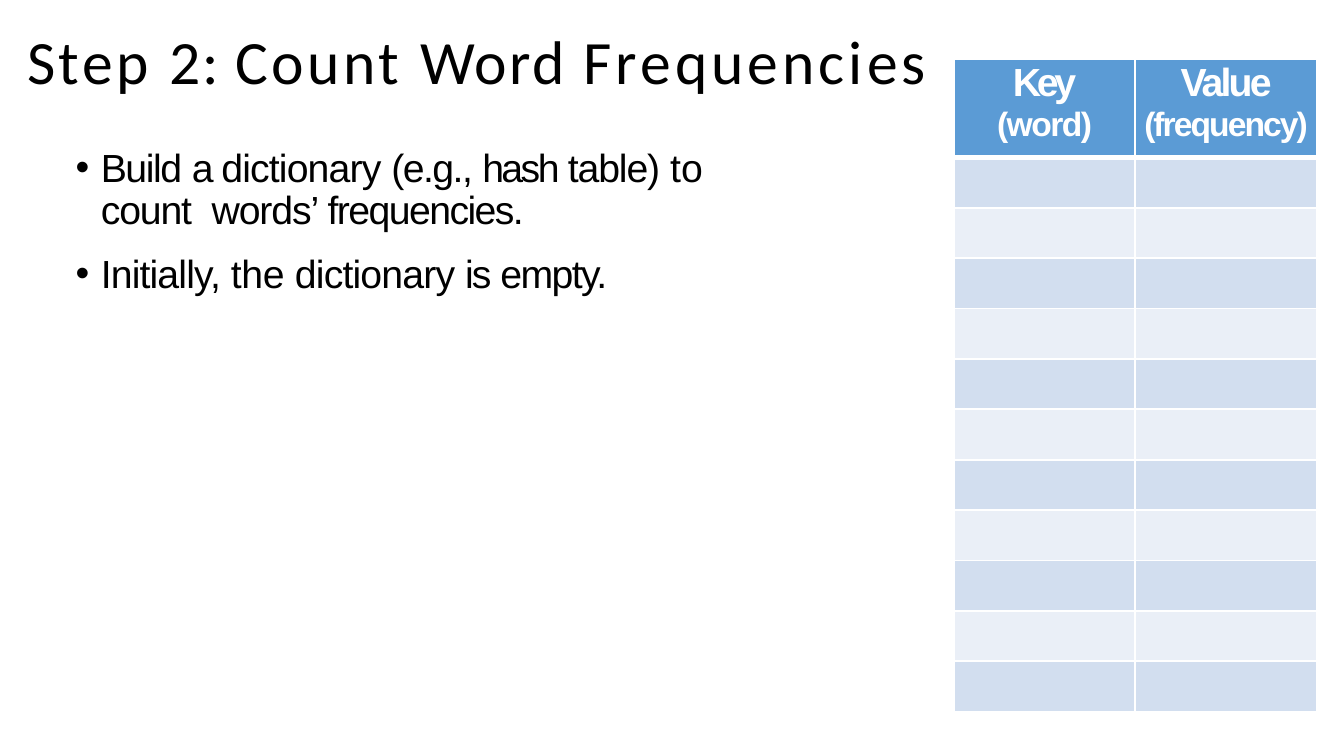
"""Build the slide on counting word frequencies with an empty dictionary table."""
from lxml import etree
from pptx import Presentation, util as u
from pptx.dml.color import RGBColor
from pptx.enum import text
from pptx.oxml import ns

COLORS = {"ink": "000000", "white": "FFFFFF", "header": "5B9BD5",
          "odd": "D2DEEF", "even": "EAEFF7"}

TITLE = [("Step ", 2.4), ("2: ", 1), ("Count ", 2.5), ("Word ", 1.6), ("Frequencies", 2.9)]
BULLETS = [
    ([("Build ", -1), ("a ", -2.2), ("dictionary ", -0.6), ("(e.g., ", -1.1),
      ("hash ", -1.8), ("table) ", -0.8), ("to ", 0.2), ("count", -0.8), (" ", 6.2),
      ("words’ ", -0.8), ("frequencies.", -1.1)],
     {"line_spacing": u.Pt(30)}),
    ([("Initially, ", -0.6), ("the ", -0.3), ("dictionary ", -0.6), ("is ", -1.4),
      ("empty.", -1.1)],
     {"space_before": u.Pt(12)}),
]
HEADERS = [[("Key", -3.1), ("(word)", -1.1)], [("Value", -2), ("(frequency)", -1.4)]]
EMPTY_ROWS = 11

TITLE_FONT = {"name": "Calibri", "size": u.Pt(44)}
BODY_FONT = {"name": "Arial", "size": u.Pt(28)}
HEADER_FONTS = [{"name": "Arial", "size": u.Pt(size), "bold": True} for size in (28, 24)]
HEADER_SPACING = [{}, {"space_before": u.Pt(0.4)}]


def apply(target, values):
    for name, value in values.items():
        setattr(target, name, value)


def add_xml(parent, tag, **attributes):
    return etree.SubElement(parent, ns.qn(tag), attributes)


def write_runs(paragraph, pieces, font, color):
    for words, tracking in pieces:
        run = paragraph.add_run()
        run.text = words
        apply(run.font, font)
        run.font.color.rgb = RGBColor.from_string(COLORS[color])
        run.font._element.set("spc", str(round(tracking * 100)))


def add_box(slide, place, top_inset, anchor):
    frame = slide.shapes.add_textbox(*map(u.Inches, place)).text_frame
    apply(frame, {"word_wrap": True, "vertical_anchor": anchor, "margin_left": 0,
                  "margin_right": 0, "margin_bottom": 0, "margin_top": u.Inches(top_inset)})
    return frame


def add_bullet(paragraph):
    hang = u.Inches(0.26)
    properties = paragraph._p.get_or_add_pPr()
    properties.set("marL", str(hang))
    properties.set("indent", str(-u.Inches(0.25)))
    add_xml(properties, "a:buFont", typeface="Arial")
    add_xml(properties, "a:buChar", char="•")
    add_xml(add_xml(properties, "a:tabLst"), "a:tab", pos=str(hang), algn="l")


def style_cell(cell, row, color):
    widths = {"L": 1.5, "R": 1.5, "T": 4.25 if row == 1 else 1.5,
              "B": 4.25 if row == 0 else 1.5}
    properties = cell._tc.get_or_add_tcPr()
    for side, width in widths.items():
        border = add_xml(properties, "a:ln" + side, w=str(u.Pt(width)))
        add_xml(add_xml(border, "a:solidFill"), "a:srgbClr", val=COLORS["white"])
    cell.fill.solid()
    cell.fill.fore_color.rgb = RGBColor.from_string(COLORS[color])


def add_dictionary(slide):
    place = map(u.Inches, (9.46, 0.59, 3.6, 6.47))
    table = slide.shapes.add_table(EMPTY_ROWS + 1, len(HEADERS), *place).table
    for column in table.columns:
        column.width = u.Inches(1.8)
    for row, line in enumerate(table.rows):
        line.height = u.Inches(0.5 if row else 0.97)
        color = ("even", "odd")[row % 2] if row else "header"
        for cell in line.cells:
            style_cell(cell, row, color)
    for column, lines in enumerate(HEADERS):
        cell = table.cell(0, column)
        apply(cell, {"margin_left": 0, "margin_right": 0, "margin_bottom": 0,
                     "margin_top": u.Inches(0.02)})
        frame = cell.text_frame
        for i, piece in enumerate(lines):
            paragraph = frame.add_paragraph() if i else frame.paragraphs[0]
            apply(paragraph, {"alignment": text.PP_ALIGN.CENTER, **HEADER_SPACING[i]})
            write_runs(paragraph, [piece], HEADER_FONTS[i], "white")


def main():
    deck = Presentation()
    apply(deck, {"slide_width": u.Inches(13.33), "slide_height": u.Inches(7.5)})
    slide = deck.slides.add_slide(deck.slide_layouts[6])
    add_dictionary(slide)

    title = add_box(slide, (0.27, 0.21, 9.31, 0.75), 0.01, text.MSO_ANCHOR.MIDDLE)
    write_runs(title.paragraphs[0], TITLE, TITLE_FONT, "ink")

    body = add_box(slide, (0.74, 1.4, 7.16, 1.55), 0.07, text.MSO_ANCHOR.TOP)
    for i, (pieces, spacing) in enumerate(BULLETS):
        paragraph = body.add_paragraph() if i else body.paragraphs[0]
        add_bullet(paragraph)
        apply(paragraph, spacing)
        write_runs(paragraph, pieces, BODY_FONT, "ink")

    deck.save("out.pptx")


if __name__ == "__main__":
    main()
